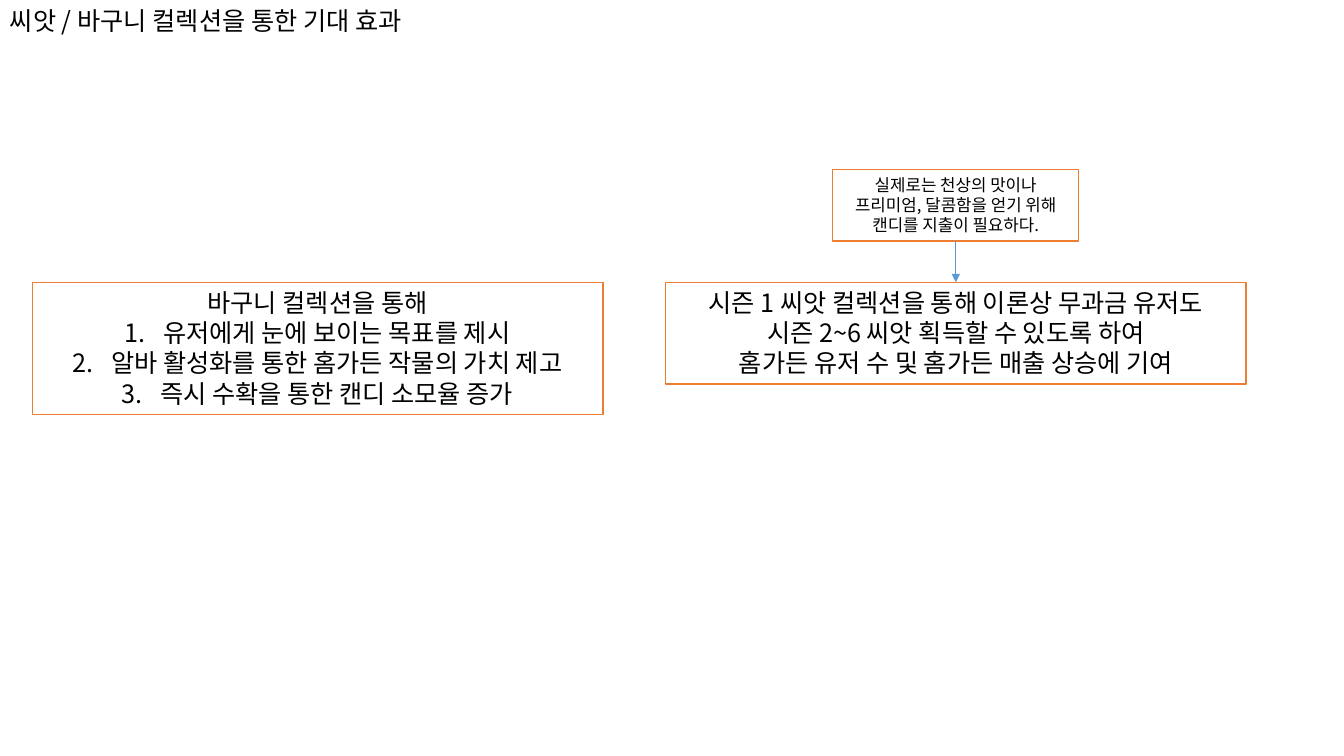
from dataclasses import dataclass

from lxml.etree import SubElement
from pptx import Presentation
from pptx.dml.color import RGBColor as RGB
from pptx.enum.shapes import MSO_CONNECTOR as LINK, MSO_SHAPE as SHAPE
from pptx.enum.text import MSO_ANCHOR as ANCHOR, MSO_AUTO_SIZE as FIT, PP_ALIGN as ALIGN
from pptx.oxml.ns import qn
from pptx.util import Inches, Pt


@dataclass(frozen=True)
class Theme:
    font: str = "Noto Sans CJK KR"
    ink: RGB = RGB.from_string("000000")
    paper: RGB = RGB.from_string("FFFFFF")
    border: RGB = RGB.from_string("ED7D31")
    arrow: RGB = RGB.from_string("5B9BD5")
    body: int = 18
    note: int = 12


class SlideBuilder:
    def __init__(self, slide, theme):
        self.slide = slide
        self.theme = theme

    def fill_text(self, frame, paragraphs, size, align):
        """Fill a frame; a newline inside a paragraph is a line break."""
        for index, words in enumerate(paragraphs):
            paragraph = frame.add_paragraph() if index else frame.paragraphs[0]
            paragraph.text = words
            paragraph.alignment = align
            for run in paragraph.runs:
                run.font.size = Pt(size)
                run.font.color.rgb = self.theme.ink
                run.font.name = self.theme.font
                SubElement(run.font._element, qn("a:ea"), typeface=self.theme.font)
            for line_break in paragraph._p.findall(qn("a:br")):
                SubElement(line_break, qn("a:rPr"), sz=str(size * 100))

    def title(self, words, left, top, width, height):
        heading = self.slide.shapes.add_textbox(
            Inches(left), Inches(top), Inches(width), Inches(height))
        frame = heading.text_frame
        frame.word_wrap = True
        frame.auto_size = FIT.SHAPE_TO_FIT_TEXT
        self.fill_text(frame, [words], self.theme.body, ALIGN.LEFT)

    def box(self, paragraphs, left, top, width, height, size):
        panel = self.slide.shapes.add_shape(
            SHAPE.RECTANGLE, Inches(left), Inches(top), Inches(width), Inches(height))
        panel.shadow.inherit = False
        panel.fill.solid()
        panel.fill.fore_color.rgb = self.theme.paper
        panel.line.color.rgb = self.theme.border
        panel.line.width = Pt(1)
        frame = panel.text_frame
        frame.word_wrap = False
        frame.auto_size = FIT.SHAPE_TO_FIT_TEXT
        frame.vertical_anchor = ANCHOR.TOP
        self.fill_text(frame, paragraphs, size, ALIGN.CENTER)
        return panel

    def number(self, paragraphs):
        indent = Inches(0.38)
        for paragraph in paragraphs:
            props = paragraph._p.get_or_add_pPr()
            props.set("marL", str(indent))
            props.set("indent", str(-indent))
            SubElement(props, qn("a:buFont"), typeface="+mj-lt")
            SubElement(props, qn("a:buAutoNum"), type="arabicPeriod")

    def arrow_down(self, upper, lower):
        arrow = self.slide.shapes.add_connector(LINK.STRAIGHT, 0, 0, 0, 0)
        arrow.begin_connect(upper, 2)
        arrow.end_connect(lower, 0)
        arrow.line.color.rgb = self.theme.arrow
        arrow.line.width = Pt(0.5)
        SubElement(arrow.line._get_or_add_ln(), qn("a:tailEnd"), type="triangle")
        SubElement(arrow._element.spPr, qn("a:effectLst"))


def main():
    deck = Presentation()
    deck.slide_width, deck.slide_height = Inches(13.33), Inches(7.5)
    theme = Theme()
    builder = SlideBuilder(deck.slides.add_slide(deck.slide_layouts[6]), theme)
    effects_top = 2.8

    # Heading
    builder.title("씨앗 / 바구니 컬렉션을 통한 기대 효과", 0, 0, 13.33, 0.4)

    # Seed collection: effect, and the note that leads to it
    seed_effect = builder.box(
        ["시즌 1 씨앗 컬렉션을 통해 이론상 무과금 유저도\n시즌 2~6 씨앗 획득할 수 있도록 하여",
         "홈가든 유저 수 및 홈가든 매출 상승에 기여"],
        6.6, effects_top, 5.76, 1.01, theme.body)
    candy_note = builder.box(
        ["실제로는 천상의 맛이나\n프리미엄, 달콤함을 얻기 위해\n캔디를 지출이 필요하다."],
        8.26, 1.68, 2.44, 0.71, theme.note)
    builder.arrow_down(candy_note, seed_effect)

    # Basket collection: numbered effects
    basket_effects = builder.box(
        ["바구니 컬렉션을 통해",
         "유저에게 눈에 보이는 목표를 제시",
         "알바 활성화를 통한 홈가든 작물의 가치 제고",
         "즉시 수확을 통한 캔디 소모율 증가"],
        0.32, effects_top, 5.66, 1.31, theme.body)
    builder.number(basket_effects.text_frame.paragraphs[1:])

    deck.save("out.pptx")


if __name__ == "__main__":
    main()
